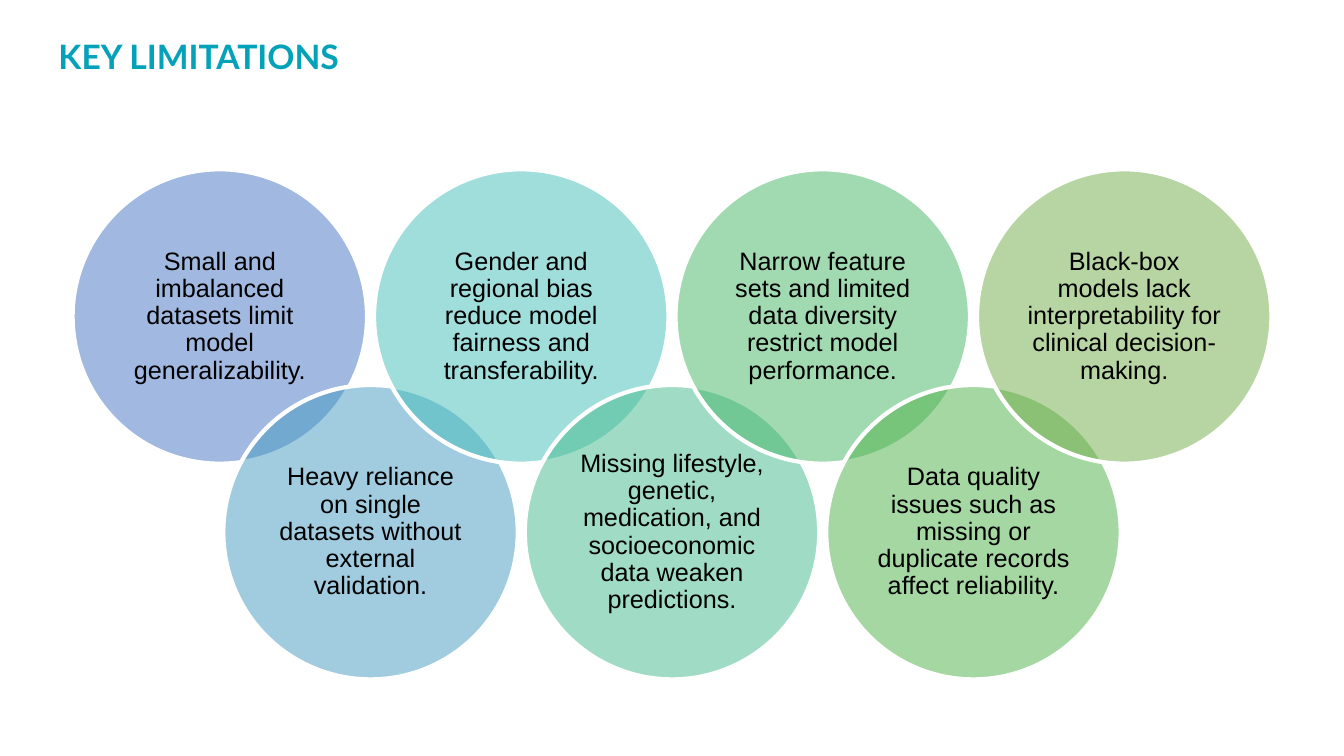
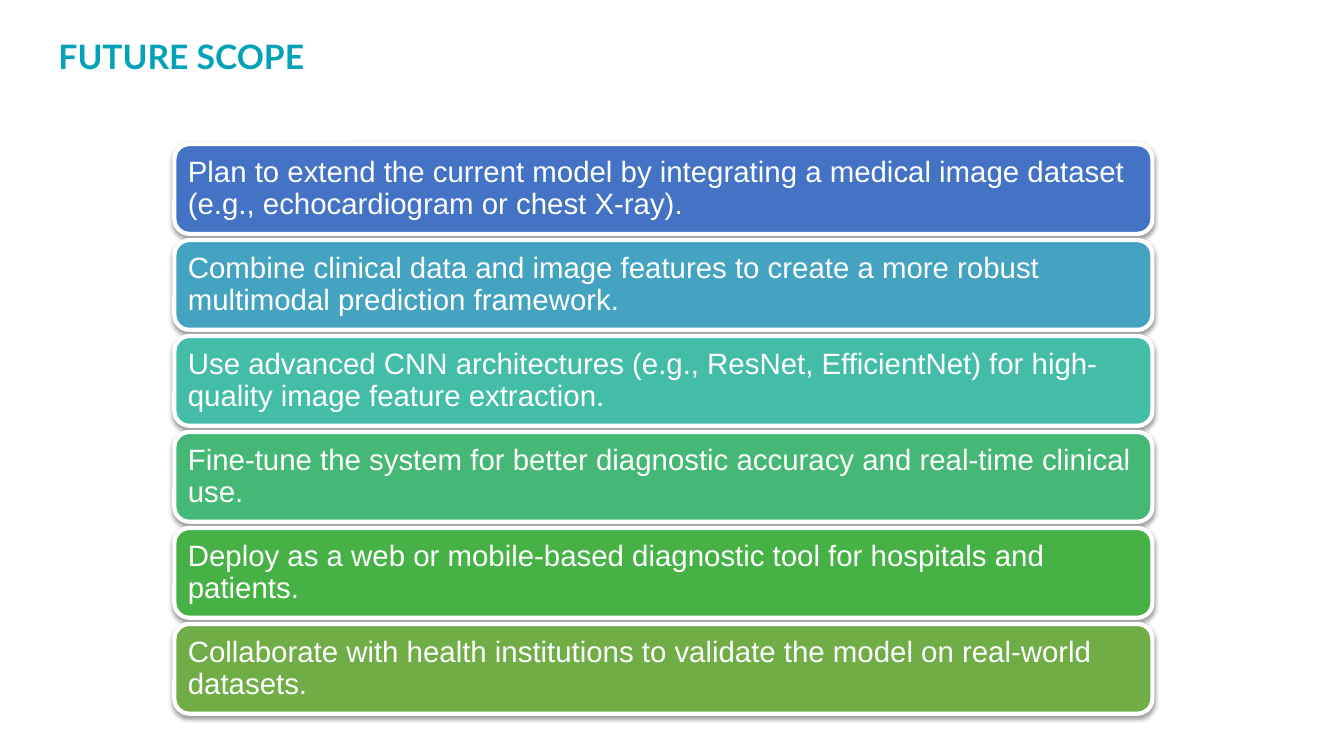
from lxml import etree
from pptx import Presentation
from pptx import util as u
from pptx.dml.color import RGBColor
from pptx.enum import shapes, text
from pptx.oxml.ns import qn

WIDTH, HEIGHT = 13.33, 7.5
COLOURS = {"title": "04A2B9", "outline": "FFFFFF", "dark": "000000", "light": "FFFFFF"}
FONTS = {"title": "Lato", "body": "Arial"}

# Circles: seven columns, alternating between an upper and a lower row
CIRCLE_SIZE = 2.92
CIRCLE_LEFT, CIRCLE_LAST = 0.72, 9.69
CIRCLE_ROWS = (1.68, 3.82)
LIMITATIONS = [
    ("4472C4", "Small and imbalanced datasets limit model generalizability."),
    ("449BC1", "Heavy reliance on single datasets without external validation."),
    ("43BEB9", "Gender and regional bias reduce model fairness and transferability."),
    ("43BB8D", "Missing lifestyle, genetic, medication, and socioeconomic data weaken predictions."),
    ("45B664", "Narrow feature sets and limited data diversity restrict model performance."),
    ("4CB146", "Data quality issues such as missing or duplicate records affect reliability."),
    ("70AD47", "Black-box models lack interpretability for clinical decision-making."),
]

# Bars: six equal rows
BAR_LEFT, BAR_WIDTH, BAR_HEIGHT = 1.73, 9.7, 0.89
BAR_TOP, BAR_LAST = 1.43, 6.19
PLANS = [
    ("4472C4", "Plan to extend the current model by integrating a medical image dataset "
               "(e.g., echocardiogram or chest X-ray)."),
    ("44A3C0", "Combine clinical data and image features to create a more robust "
               "multimodal prediction framework."),
    ("43BDA7", "Use advanced CNN architectures (e.g., ResNet, EfficientNet) for "
               "high-quality image feature extraction."),
    ("44B874", "Fine-tune the system for better diagnostic accuracy and real-time clinical use."),
    ("46B246", "Deploy as a web or mobile-based diagnostic tool for hospitals and patients."),
    ("70AD47", "Collaborate with health institutions to validate the model on real-world datasets."),
]


def grid_line(first, last, count, index):
    """Position of one of count evenly spaced items."""
    return first + index * (last - first) / (count - 1)


def set_insets(frame, left, top, right, bottom):
    frame.margin_left, frame.margin_top = u.Inches(left), u.Inches(top)
    frame.margin_right, frame.margin_bottom = u.Inches(right), u.Inches(bottom)


def write(frame, words, font, size, colour, align, bold=False):
    frame.word_wrap = True
    frame.vertical_anchor = text.MSO_ANCHOR.MIDDLE
    para = frame.paragraphs[0]
    para.alignment = align
    span = para.add_run()
    span.text = words
    span.font.name = font
    span.font.size = u.Pt(size)
    span.font.bold = bold
    span.font.color.rgb = RGBColor.from_string(colour)
    return para


def add_titled_page(deck, words):
    page = deck.slides.add_slide(deck.slide_layouts[5])
    title = page.shapes.title
    title.left, title.top = u.Inches(0.58), u.Inches(0.34)
    title.width, title.height = u.Inches(3.37), u.Inches(0.42)
    frame = title.text_frame
    frame.auto_size = text.MSO_AUTO_SIZE.SHAPE_TO_FIT_TEXT
    set_insets(frame, 0, 0.01, 0, 0)
    write(frame, words, FONTS["title"], 24, COLOURS["title"], text.PP_ALIGN.LEFT, bold=True)
    return page


def add_panel(page, kind, at, fill, words, size, colour, align, inset):
    """Filled, white-outlined shape holding its own text."""
    box = page.shapes.add_shape(kind, *(u.Inches(length) for length in at))
    box.shadow.inherit = False
    box.fill.solid()
    box.fill.fore_color.rgb = RGBColor.from_string(fill)
    box.line.color.rgb = RGBColor.from_string(COLOURS["outline"])
    box.line.width = u.Pt(3)
    set_insets(box.text_frame, *[inset] * 4)
    para = write(box.text_frame, words, FONTS["body"], size, colour, align)
    para.line_spacing = 0.9
    return box


def set_alpha(colour_element, percent):
    etree.SubElement(colour_element, qn("a:alpha"), val=str(percent * 1000))


def make_translucent(box, percent):
    fill = box._element.spPr.find(qn("a:solidFill"))
    set_alpha(fill.find(qn("a:srgbClr")), percent)


def drop_shadow(box):
    effects = box._element.spPr.find(qn("a:effectLst"))
    shadow = etree.SubElement(effects, qn("a:outerShdw"), blurRad=str(u.Pt(3.1)),
                              dist=str(u.Pt(1.6)), dir="5400000", rotWithShape="0")
    set_alpha(etree.SubElement(shadow, qn("a:srgbClr"), val=COLOURS["dark"]), 38)


def add_circles(page):
    for index, (fill, words) in enumerate(LIMITATIONS):
        left = grid_line(CIRCLE_LEFT, CIRCLE_LAST, len(LIMITATIONS), index)
        at = (left, CIRCLE_ROWS[index % 2], CIRCLE_SIZE, CIRCLE_SIZE)
        circle = add_panel(page, shapes.MSO_SHAPE.OVAL, at, fill, words, 18,
                           COLOURS["dark"], text.PP_ALIGN.CENTER, 0.07)
        make_translucent(circle, 50)


def add_bars(page):
    for index, (fill, words) in enumerate(PLANS):
        top = grid_line(BAR_TOP, BAR_LAST, len(PLANS), index)
        at = (BAR_LEFT, top, BAR_WIDTH, BAR_HEIGHT)
        bar = add_panel(page, shapes.MSO_SHAPE.ROUNDED_RECTANGLE, at, fill, words, 21,
                        COLOURS["light"], text.PP_ALIGN.LEFT, 0.09)
        drop_shadow(bar)


def main():
    deck = Presentation()
    deck.slide_width, deck.slide_height = u.Inches(WIDTH), u.Inches(HEIGHT)
    add_circles(add_titled_page(deck, "KEY LIMITATIONS"))
    add_bars(add_titled_page(deck, "FUTURE SCOPE"))
    deck.save("out.pptx")


if __name__ == "__main__":
    main()
